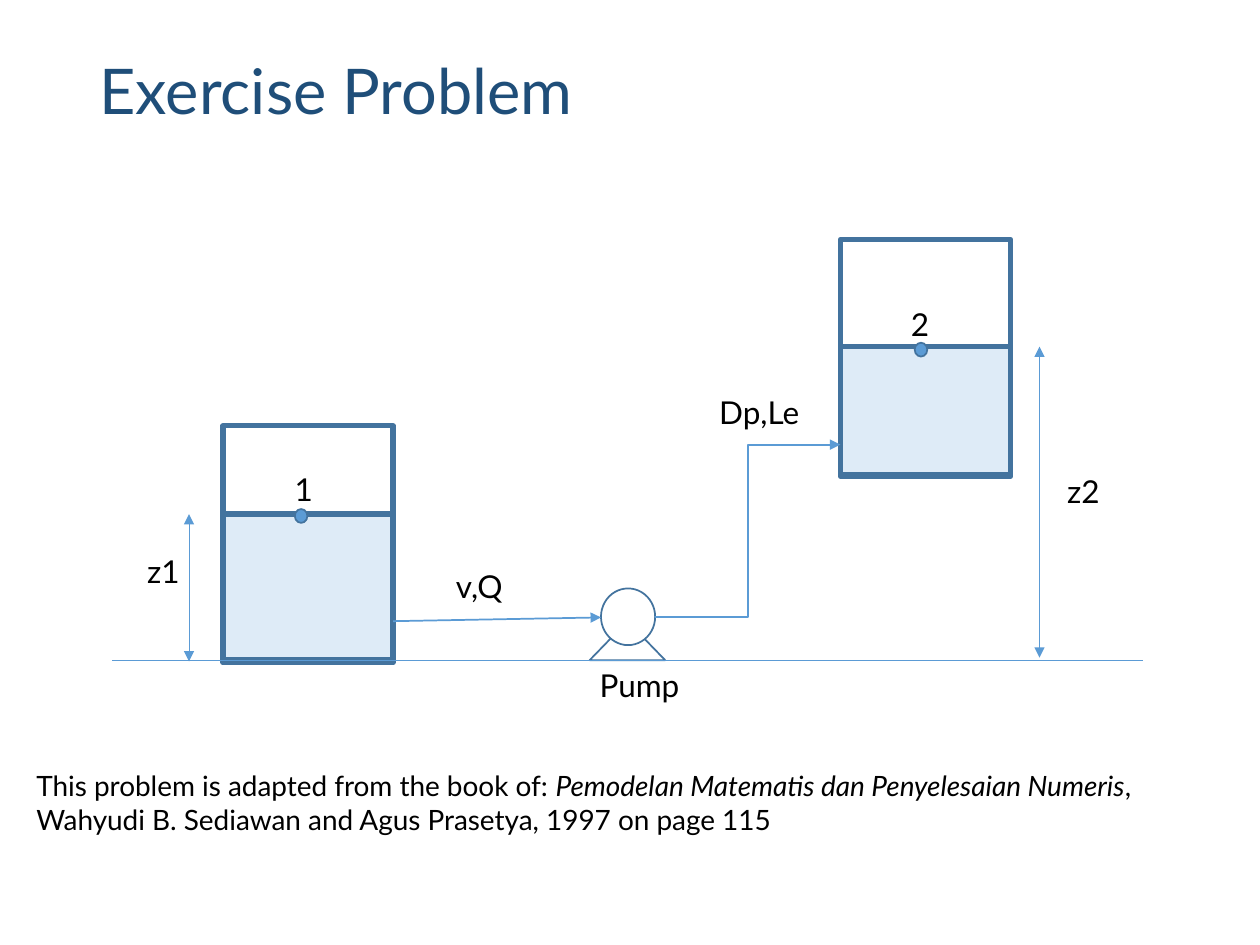
from lxml.etree import SubElement
from pptx import Presentation
from pptx.dml.color import RGBColor
from pptx.enum.shapes import MSO_CONNECTOR as Link, MSO_SHAPE as Shape
from pptx.enum.text import MSO_ANCHOR as Anchor, PP_ALIGN as Align
from pptx.oxml.ns import qn
from pptx.util import Inches, Pt

NAVY = RGBColor(0x1F, 0x4E, 0x79)
STEEL = RGBColor(0x43, 0x73, 0x9E)
BLUE = RGBColor(0x5B, 0x9B, 0xD5)
WATER = RGBColor(0xDE, 0xEB, 0xF7)
WHITE = RGBColor(0xFF, 0xFF, 0xFF)
BLACK = RGBColor(0, 0, 0)

GROUND = 5.24
PIPE = 4.9
TANK_WIDTH = 1.35


def add_text(para, text, size=18, color=BLACK, italic=False, font="Lato"):
    span = para.add_run()
    span.text = text
    span.font.name = font
    span.font.size = Pt(size)
    span.font.color.rgb = color
    span.font.italic = italic


class Diagram:
    """Holds the current page and the style of its elements."""

    def __init__(self, page):
        self.page = page

    def title(self, text, *place):
        box = self.page.shapes.title
        box.left, box.top, box.width, box.height = map(Inches, place)
        box.text_frame.vertical_anchor = Anchor.MIDDLE
        para = box.text_frame.paragraphs[0]
        para.alignment = Align.LEFT
        para.line_spacing = 0.9
        add_text(para, text, size=36, color=NAVY)

    def shape(self, kind, *place, fill=WHITE, weight=1):
        shape = self.page.shapes.add_shape(kind, *map(Inches, place))
        shape.shadow.inherit = False
        shape.fill.solid()
        shape.fill.fore_color.rgb = fill
        shape.line.color.rgb = STEEL
        shape.line.width = Pt(weight)

    def tank(self, left, top, height, level, depth):
        self.shape(Shape.RECTANGLE, left, top, TANK_WIDTH, height, weight=3)
        self.shape(Shape.RECTANGLE, left, level, TANK_WIDTH, depth, fill=WATER, weight=3)

    def line(self, *ends, kind=Link.STRAIGHT, weight=1.0, arrows=()):
        """Draw a connector; arrows names its pointed ends, headEnd before tailEnd."""
        line = self.page.shapes.add_connector(kind, *map(Inches, ends))
        line.line.color.rgb = BLUE
        line.line.width = Pt(weight)
        outline = line.line._get_or_add_ln()
        for end in arrows:
            SubElement(outline, qn(f"a:{end}"), type="triangle")
        SubElement(line._element.spPr, qn("a:effectLst"))

    def height_mark(self, x, top, bottom):
        self.line(x, top, x, bottom, weight=0.5, arrows=("headEnd", "tailEnd"))

    def label(self, *place, spans, size=18):
        """Add a text box from (text, italic) spans."""
        box = self.page.shapes.add_textbox(*map(Inches, place))
        box.text_frame.word_wrap = True
        for text, italic in spans:
            add_text(box.text_frame.paragraphs[0], text, size=size, italic=italic)


def main():
    deck = Presentation()
    deck.slide_width, deck.slide_height = Inches(10), Inches(7.5)
    diagram = Diagram(deck.slides.add_slide(deck.slide_layouts[5]))
    diagram.title("Exercise Problem", 0.69, 0.02, 8.62, 1.45)

    diagram.tank(6.67, 1.9, 1.88, level=2.75, depth=1.02)
    diagram.tank(1.77, 3.38, 1.88, level=4.08, depth=1.16)
    diagram.shape(Shape.ISOSCELES_TRIANGLE, 4.68, 4.93, 0.6, 0.31)
    diagram.line(0.89, GROUND, 9.07, GROUND, weight=0.5)
    diagram.shape(Shape.OVAL, 4.77, 4.67, 0.43, 0.45)

    diagram.line(3.12, 4.93, 4.77, PIPE, arrows=["tailEnd"])
    diagram.line(5.2, PIPE, 6.67, 3.53, kind=Link.ELBOW, arrows=["tailEnd"])
    diagram.height_mark(1.5, 4.08, 5.25)
    diagram.height_mark(8.25, 2.75, 5.22)

    labels = [
        ("z1", 1.07, 4.33, 0.48),
        ("1", 2.24, 3.68, 0.42),
        ("2", 7.13, 2.37, 0.42),
        ("v,Q", 3.52, 4.45, 0.61),
        ("Dp,Le", 5.61, 3.07, 0.97),
        ("z2", 8.37, 3.7, 0.48),
        ("Pump", 4.66, GROUND, 1.08),
    ]
    for text, left, top, width in labels:
        diagram.label(left, top, width, 0.4, spans=[(text, False)])

    diagram.label(0.19, 6.05, 9.58, 0.64, size=16, spans=[
        ("This problem is adapted from the book of: ", False),
        ("Pemodelan Matematis dan Penyelesaian Numeris", True),
        (", Wahyudi B. Sediawan and Agus Prasetya, 1997 on page 115", False),
    ])
    for left, top in [(2.34, 4.04), (7.26, 2.72)]:
        diagram.shape(Shape.OVAL, left, top, 0.1, 0.11, fill=BLUE)

    deck.save("out.pptx")


if __name__ == "__main__":
    main()
